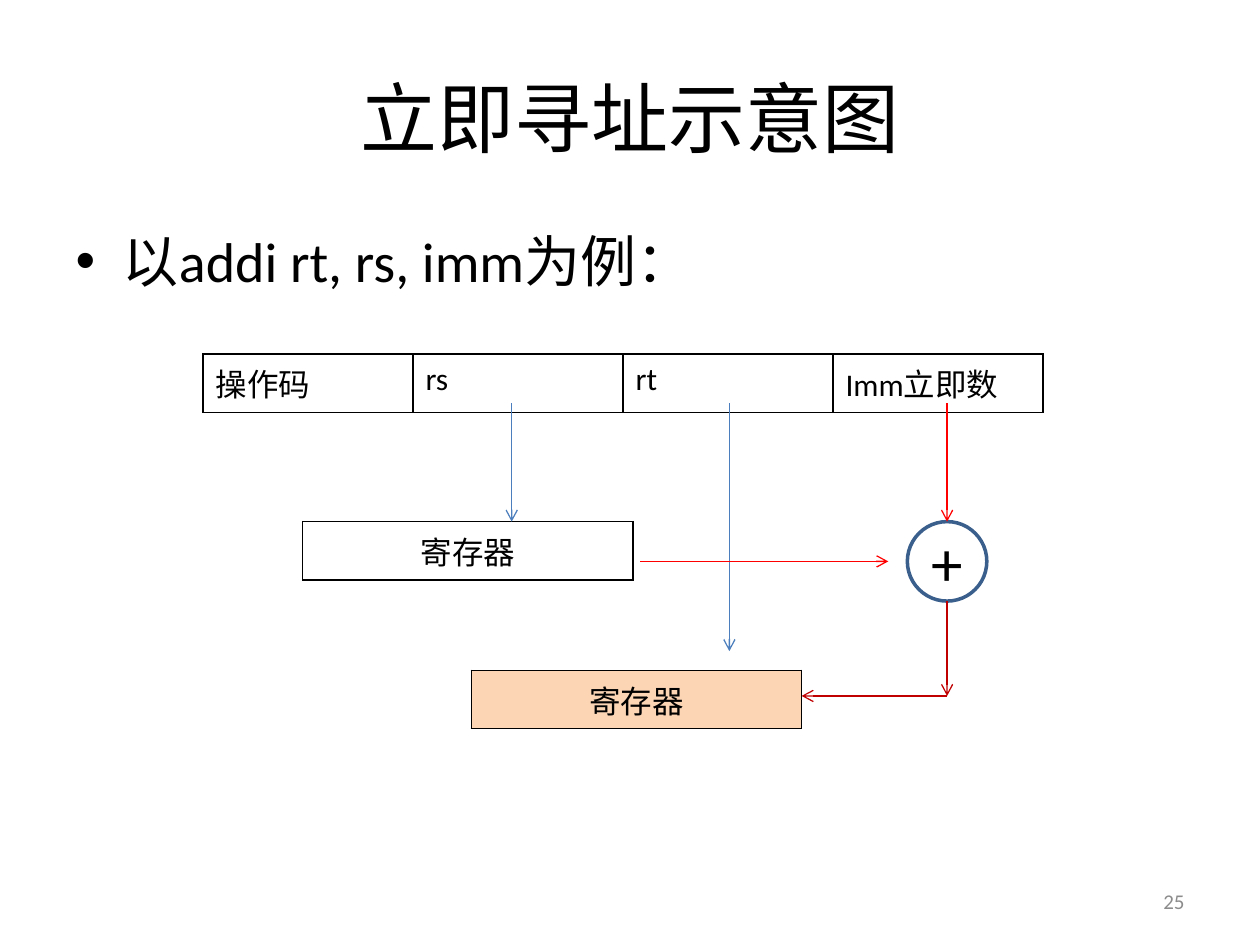
from lxml.etree import SubElement
from pptx import Presentation
from pptx.dml.color import RGBColor
from pptx.enum.shapes import MSO_CONNECTOR, MSO_SHAPE
from pptx.enum.text import MSO_ANCHOR as Anchor, PP_ALIGN as Align
from pptx.oxml.ns import qn
from pptx.util import Pt

COLORS = {
    "text": "000000", "number": "8C8C8C", "border": "000000", "result": "FCD5B5",
    "field": "4B7EBC", "operand": "FF0000", "output": "C00000", "adder": "3A5F8C",
}
FONT = "Calibri"
ROW_HEIGHT = 29.2


def color(name):
    return RGBColor.from_string(COLORS[name])


def write(frame, text, size, align=None, tint="text"):
    para = frame.paragraphs[0]
    if align is not None:
        para.alignment = align
    span = para.add_run()
    span.text = text
    span.font.size = Pt(size)
    span.font.name = FONT
    span.font.color.rgb = color(tint)


def place(shape, left, top, width, height):
    shape.left, shape.top = Pt(left), Pt(top)
    shape.width, shape.height = Pt(width), Pt(height)


def add_border(cell):
    props = cell._tc.get_or_add_tcPr()
    for side in ("a:lnL", "a:lnR", "a:lnT", "a:lnB"):
        line = SubElement(props, qn(side), w=str(Pt(1)))
        fill = SubElement(line, qn("a:solidFill"))
        SubElement(fill, qn("a:srgbClr"), val=COLORS["border"])


def add_row(page, left, top, width, labels, align=None, fill=None):
    """One-row table with equal columns."""
    table = page.shapes.add_table(
        1, len(labels), Pt(left), Pt(top), Pt(width), Pt(ROW_HEIGHT)).table
    table.first_row = table.horz_banding = False
    for cell, label in zip(table.rows[0].cells, labels):
        add_border(cell)
        if fill:
            cell.fill.solid()
            cell.fill.fore_color.rgb = color(fill)
        else:
            cell.fill.background()
        write(cell.text_frame, label, 18, align)


def add_arrow(page, start, end, tint):
    arrow = page.shapes.add_connector(
        MSO_CONNECTOR.STRAIGHT, *(Pt(value) for value in (*start, *end)))
    arrow.line.color.rgb = color(tint)
    arrow.line.width = Pt(0.75)
    SubElement(arrow.line._get_or_add_ln(), qn("a:tailEnd"), type="arrow")
    SubElement(arrow._element.spPr, qn("a:effectLst"))
    return arrow


def add_adder(page, left, top, size):
    adder = page.shapes.add_shape(
        MSO_SHAPE.OVAL, Pt(left), Pt(top), Pt(size), Pt(size))
    adder.shadow.inherit = False
    adder.fill.background()
    adder.line.color.rgb = color("adder")
    adder.line.width = Pt(2)
    frame = adder.text_frame
    frame.margin_left = frame.margin_right = 0
    frame.margin_top = frame.margin_bottom = 0
    frame.vertical_anchor = Anchor.MIDDLE
    write(frame, "+", 36, Align.CENTER)
    return adder


def add_heading(page, left, top, width):
    title, body = page.placeholders
    place(title, left, top, width, 90)
    title.text_frame.vertical_anchor = Anchor.MIDDLE
    write(title.text_frame, "立即寻址示意图", 44, Align.CENTER)
    place(body, left, top + 104.4, width, 47.5)
    write(body.text_frame, "以addi rt, rs, imm为例：", 32)


def add_diagram(page, left, top):
    # Instruction fields and the two registers
    source_top, result_top = top + 95.8, top + 180.8
    register_width = 188.7
    source_left, result_left = left + 57, left + 153.4
    add_row(page, left, top, 480, ["操作码", "rs", "rt", "Imm立即数"])
    add_row(page, source_left, source_top, register_width, ["寄存器"], Align.CENTER)
    add_row(page, result_left, result_top, register_width, ["寄存器"],
            Align.CENTER, "result")

    # Adder, centred below the immediate field
    rs_x, rt_x, imm_x = (left + 176.4 + 124.4 * step for step in range(3))
    size = 45.4
    adder = add_adder(page, imm_x - size / 2, source_top, size)
    adder_y = source_top + size / 2
    adder_bottom = source_top + size

    # Arrows from the fields
    field_y = top + 28
    add_arrow(page, (rs_x, field_y), (rs_x, source_top), "field")
    add_arrow(page, (rt_x, field_y), (rt_x, result_top - 11), "field")
    imm = add_arrow(page, (imm_x, field_y), (imm_x, source_top), "operand")
    imm.end_connect(adder, 0)

    # Operand into the adder, sum into the result register
    add_arrow(page, (source_left + register_width + 4.3, adder_y),
              (imm_x - 33.6, adder_y), "operand")
    corner = (imm_x, result_top + ROW_HEIGHT / 2)
    add_arrow(page, (imm_x, adder_bottom), corner, "output")
    add_arrow(page, corner, (result_left + register_width, corner[1]), "output")


def add_number(page, left, top, width, height):
    box = page.shapes.add_textbox(Pt(left), Pt(top), Pt(width), Pt(height))
    box.text_frame.word_wrap = True
    box.text_frame.vertical_anchor = Anchor.MIDDLE
    write(box.text_frame, "25", 12, Align.RIGHT, "number")


def main():
    deck = Presentation()
    deck.slide_width, deck.slide_height = Pt(720), Pt(540)
    page = deck.slides.add_slide(deck.slide_layouts[1])
    add_heading(page, 36, 21.6, 648)
    add_diagram(page, 116, 202.3)
    add_number(page, 516, 500.5, 168, 28.75)
    deck.save("out.pptx")


if __name__ == "__main__":
    main()
